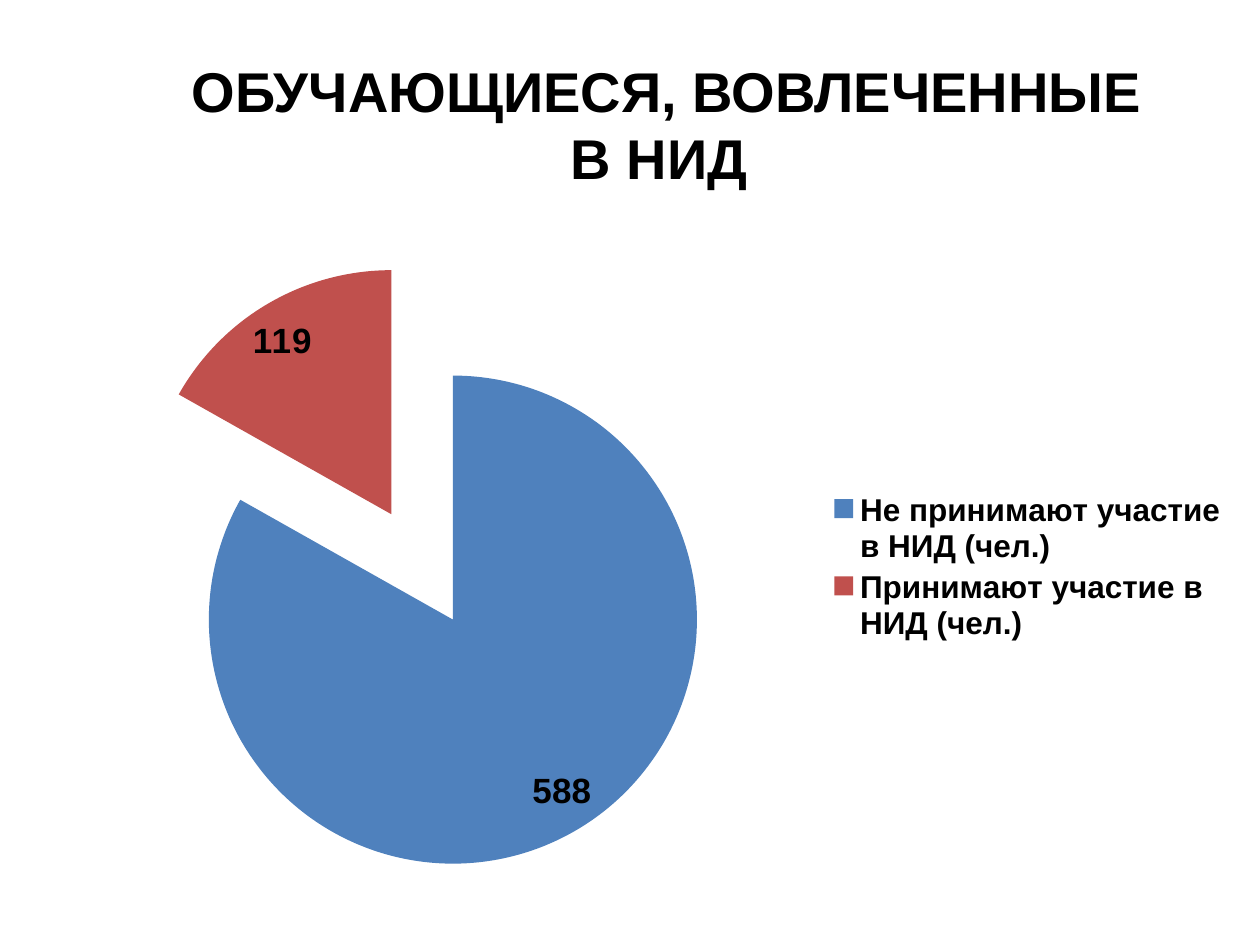
from dataclasses import dataclass

from pptx import Presentation
from pptx.chart.data import CategoryChartData
from pptx.dml.color import RGBColor as Rgb
from pptx.enum.chart import XL_CHART_TYPE as ChartType
from pptx.enum.chart import XL_LABEL_POSITION as LabelPosition
from pptx.enum.chart import XL_LEGEND_POSITION as LegendPosition
from pptx.enum.text import MSO_ANCHOR as Anchor
from pptx.enum.text import PP_ALIGN as Align
from pptx.oxml import parse_xml
from pptx.oxml.ns import nsdecls
from pptx.util import Cm, Pt


@dataclass(frozen=True)
class Theme:
    face: str = "Arial"
    ink: Rgb = Rgb(0x00, 0x00, 0x00)
    not_involved: Rgb = Rgb(0x4F, 0x81, 0xBD)
    involved: Rgb = Rgb(0xC0, 0x50, 0x4D)
    heading: Pt = Pt(32)
    values: Pt = Pt(20)
    legend: Pt = Pt(18)


def style_font(font, size):
    font.name = theme.face
    font.size = size
    font.bold = True
    font.color.rgb = theme.ink


theme = Theme()
presentation = Presentation()
presentation.slide_width = Cm(25.4)
presentation.slide_height = Cm(19.05)
slide = presentation.slides.add_slide(presentation.slide_layouts[5])

heading = slide.shapes.title
heading.left, heading.top = Cm(2.77), Cm(0.99)
heading.width, heading.height = Cm(21.03), Cm(3)
heading.text_frame.text = " ОБУЧАЮЩИЕСЯ, ВОВЛЕЧЕННЫЕ В НИД"
heading.text_frame.word_wrap = True
heading.text_frame.vertical_anchor = Anchor.MIDDLE
heading_line = heading.text_frame.paragraphs[0]
heading_line.alignment = Align.CENTER
style_font(heading_line.font, theme.heading)

students = CategoryChartData(number_format="General")
students.categories = [
    "Не принимают участие в НИД (чел.)",
    "Принимают участие в НИД (чел.)",
]
students.add_series("Series 1", (588, 119))
participation = slide.shapes.add_chart(
    ChartType.PIE, Cm(0.41), Cm(4.93), Cm(24.61), Cm(13), students
).chart
participation.has_title = False
style_font(participation.font, theme.values)

participation.has_legend = True
legend = participation.legend
legend.position = LegendPosition.RIGHT
legend.include_in_layout = False
style_font(legend.font, theme.legend)

pie = participation.plots[0]
pie.vary_by_categories = True
pie.has_data_labels = True
labels = pie.data_labels
labels.show_value = True
labels.show_percentage = False
labels.position = LabelPosition.BEST_FIT
style_font(labels.font, theme.values)

slices = pie.series[0]
for index, color in enumerate((theme.not_involved, theme.involved)):
    fill = slices.points[index].format.fill
    fill.solid()
    fill.fore_color.rgb = color

explosion = parse_xml(f'<c:explosion {nsdecls("c")} val="25"/>')
first_point = slices.points[0].format.fill._xPr.getparent()
first_point.addprevious(explosion)

presentation.save("out.pptx")
